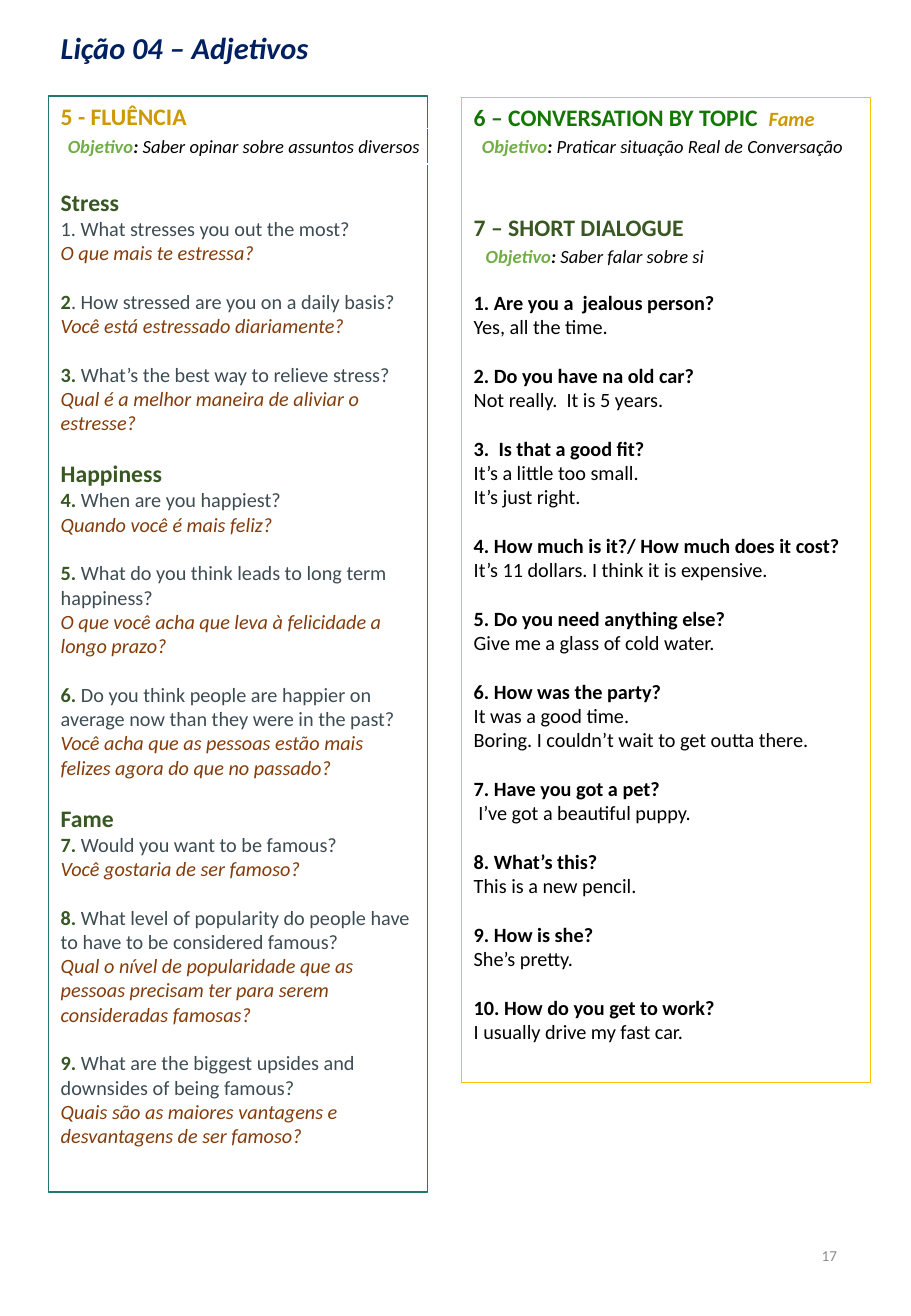
import pptx
import pptx.dml.color
import pptx.enum.shapes
import pptx.enum.text
import pptx.util
from lxml import etree

Pt = pptx.util.Pt
RGB = pptx.dml.color.RGBColor
ALIGN = pptx.enum.text.PP_ALIGN
ANCHOR = pptx.enum.text.MSO_ANCHOR
FIT = pptx.enum.text.MSO_AUTO_SIZE

NAVY = RGB(0x00, 0x20, 0x60)
GOLD = RGB(0xCC, 0x99, 0x00)
AMBER = RGB(0xFF, 0xC0, 0x00)
TEAL = RGB(0x1F, 0x78, 0x72)
GREEN = RGB(0x14, 0x77, 0x03)
FOREST = RGB(0x38, 0x57, 0x23)
LEAF = RGB(0x70, 0xAD, 0x47)
SLATE = RGB(0x3D, 0x4C, 0x53)
BROWN = RGB(0x84, 0x3C, 0x0B)
GREY = RGB(0x8C, 0x8C, 0x8C)
BLACK = RGB(0x00, 0x00, 0x00)
WHITE = RGB(0xFF, 0xFF, 0xFF)

# Heights of one line of 12 pt and 14 pt text
LINE = 14.4
TALL_LINE = 17


class Worksheet:
    """Holds the text styles and the current slide."""

    STYLES = {
        "lesson": dict(size=18, bold=True, italic=True, rgb=NAVY),
        "fluency": dict(size=14, bold=True, italic=False, rgb=GOLD),
        "conversation": dict(size=14, bold=True, italic=False, rgb=GREEN),
        "theme": dict(size=12, bold=True, italic=True, rgb=GOLD),
        "topic": dict(size=14, bold=True, italic=False, rgb=FOREST),
        "number": dict(size=12, bold=True, italic=False, rgb=FOREST),
        "question": dict(size=12, bold=False, italic=False, rgb=SLATE),
        "translation": dict(size=12, bold=False, italic=True, rgb=BROWN),
        "prompt": dict(size=12, bold=True, italic=False, rgb=BLACK),
        "reply": dict(size=12, bold=False, italic=False, rgb=BLACK),
        "label": dict(size=11, bold=True, italic=True, rgb=LEAF),
        "colon": dict(size=11, bold=True, italic=True, rgb=BLACK),
        "goal": dict(size=11, bold=False, italic=True, rgb=BLACK),
        "page": dict(size=9, bold=False, italic=False, rgb=GREY),
    }

    def __init__(self, deck):
        self.slide = deck.slides.add_slide(deck.slide_layouts[3])

    def place(self, shape, box):
        for side, length in zip(("left", "top", "width", "height"), box):
            setattr(shape, side, Pt(length))

    def style(self, font, name):
        for key, value in dict(self.STYLES[name], name="Calibri").items():
            if key == "rgb":
                font.color.rgb = value
            else:
                setattr(font, key, Pt(value) if key == "size" else value)

    def add_text(self, shape, paragraphs, **frame_format):
        """Each paragraph is (space before, left indent, [(text, style), ...])."""
        frame = shape.text_frame
        settings = dict(word_wrap=True, auto_size=FIT.NONE, vertical_anchor=ANCHOR.TOP)
        for key, value in {**settings, **frame_format}.items():
            setattr(frame, key, value)
        for position, (gap, indent, runs) in enumerate(paragraphs):
            paragraph = frame.add_paragraph() if position else frame.paragraphs[0]
            properties = paragraph._p.get_or_add_pPr()
            properties.set("marL", str(Pt(indent)))
            properties.set("indent", "0")
            etree.SubElement(properties, pptx.oxml.ns.qn("a:buNone"))
            paragraph.alignment = ALIGN.LEFT
            paragraph.space_before = Pt(gap)
            for text, name in runs:
                run = paragraph.add_run()
                run.text = text
                self.style(run.font, name)

    def title(self, text, box):
        shape = self.slide.shapes.title
        self.place(shape, box)
        self.add_text(shape, [(0, 0, [(text, "lesson")])])
        shape.text_frame.paragraphs[0].line_spacing = 1.07

    def panel(self, index, box, border, paragraphs):
        shape = self.slide.placeholders[index]
        self.place(shape, box)
        shape.line.color.rgb = border
        shape.line.width = Pt(0.75)
        self.add_text(shape, paragraphs)

    def objective(self, goal, box):
        rectangle = pptx.enum.shapes.MSO_SHAPE.RECTANGLE
        shape = self.slide.shapes.add_shape(rectangle, *map(Pt, box))
        shape.shadow.inherit = False
        shape.fill.background()
        shape.line.color.rgb = WHITE
        shape.line.width = Pt(0.75)
        runs = [("Objetivo", "label"), (": ", "colon"), (goal, "goal")]
        self.add_text(shape, [(0, 0, runs)], word_wrap=False,
                      auto_size=FIT.SHAPE_TO_FIT_TEXT)

    def page_number(self, number, box):
        shape = self.slide.shapes.add_textbox(*map(Pt, box))
        self.add_text(shape, [(0, 0, [(number, "page")])], vertical_anchor=ANCHOR.MIDDLE)
        shape.text_frame.paragraphs[0].alignment = ALIGN.RIGHT


TOPICS = [
    ("Stress", [
        ("", "1. What stresses you out the most?", "O que mais te estressa?"),
        ("2", ". How stressed are you on a daily basis?",
         "Você está estressado diariamente?"),
        ("3. ", "What’s the best way to relieve stress?",
         "Qual é a melhor maneira de aliviar o estresse?")]),
    ("Happiness", [
        ("4. ", "When are you happiest?", "Quando você é mais feliz?"),
        ("5. ", "What do you think leads to long term happiness?",
         "O que você acha que leva à felicidade a longo prazo?"),
        ("6. ", "Do you think people are happier on average now than they were in the past?",
         "Você acha que as pessoas estão mais felizes agora do que no passado?")]),
    ("Fame", [
        ("7. ", "Would you want to be famous?", "Você gostaria de ser famoso?"),
        ("8. ", "What level of popularity do people have to have to be considered famous?",
         "Qual o nível de popularidade que as pessoas precisam ter para serem "
         "consideradas famosas?"),
        ("9. ", "What are the biggest upsides and downsides of being famous?",
         "Quais são as maiores vantagens e desvantagens de ser famoso?")]),
]

DIALOGUE = [
    ("1. Are you a  jealous person?", "Yes, all the time."),
    ("2. Do you have na old car?", "Not really.  It is 5 years."),
    ("3.  Is that a good fit?", "It’s a little too small.", "It’s just right."),
    ("4. How much is it?/ How much does it cost?",
     "It’s 11 dollars. I think it is expensive."),
    ("5. Do you need anything else?", "Give me a glass of cold water."),
    ("6. How was the party?", "It was a good time.",
     "Boring. I couldn’t wait to get outta there."),
    ("7. Have you got a pet?", "I’ve got a beautiful puppy."),
    ("8. What’s this?", "This is a new pencil."),
    ("9. How is she?", "She’s pretty."),
    ("10. How do you get to work?", "I usually drive my fast car."),
]

OBJECTIVES = [
    ("Saber opinar sobre assuntos diversos", (33.1, 76.3, 229, 20.9)),
    ("Praticar situação Real de Conversação", (278.6, 76.3, 232.6, 20.9)),
    ("Saber falar sobre si", (280.8, 141.8, 148.3, 20.9)),
]


def fluency_paragraphs():
    yield 0, 0, [("5 - FLUÊNCIA", "fluency")]
    for order, (topic, questions) in enumerate(TOPICS):
        yield LINE if order else 2 * TALL_LINE, 0, [(topic, "topic")]
        for place, (number, question, translation) in enumerate(questions):
            marker = [(number, "number")] if number else []
            yield LINE if place else 0, 0, marker + [(question, "question")]
            yield 0, 0, [(translation, "translation")]


def conversation_paragraphs():
    yield 0, 0, [("6 – CONVERSATION BY TOPIC  ", "conversation"), ("Fame", "theme")]
    yield LINE + 2 * TALL_LINE, 0, [("7 – SHORT DIALOGUE", "topic")]
    for order, (prompt, *replies) in enumerate(DIALOGUE):
        yield LINE if order else 2 * LINE, 0, [(prompt, "prompt")]
        for reply in replies:
            yield 0, 2.7 if "puppy" in reply else 0, [(reply, "reply")]


def main():
    deck = pptx.Presentation()
    deck.slide_width, deck.slide_height = Pt(540), Pt(779.76)
    sheet = Worksheet(deck)

    # Heading and the two columns
    sheet.title("Lição 04 – Adjetivos", (28.8, 12.2, 165, 29.5))
    sheet.panel(2, (273.6, 57.6, 242.6, 583.9), AMBER, conversation_paragraphs())
    sheet.panel(1, (28.8, 56.9, 224.6, 649.4), TEAL, fluency_paragraphs())

    # Objectives and page number
    for goal, box in OBJECTIVES:
        sheet.objective(goal, box)
    sheet.page_number("17", (381.6, 722.9, 121.7, 41.8))
    deck.save("out.pptx")


if __name__ == "__main__":
    main()
